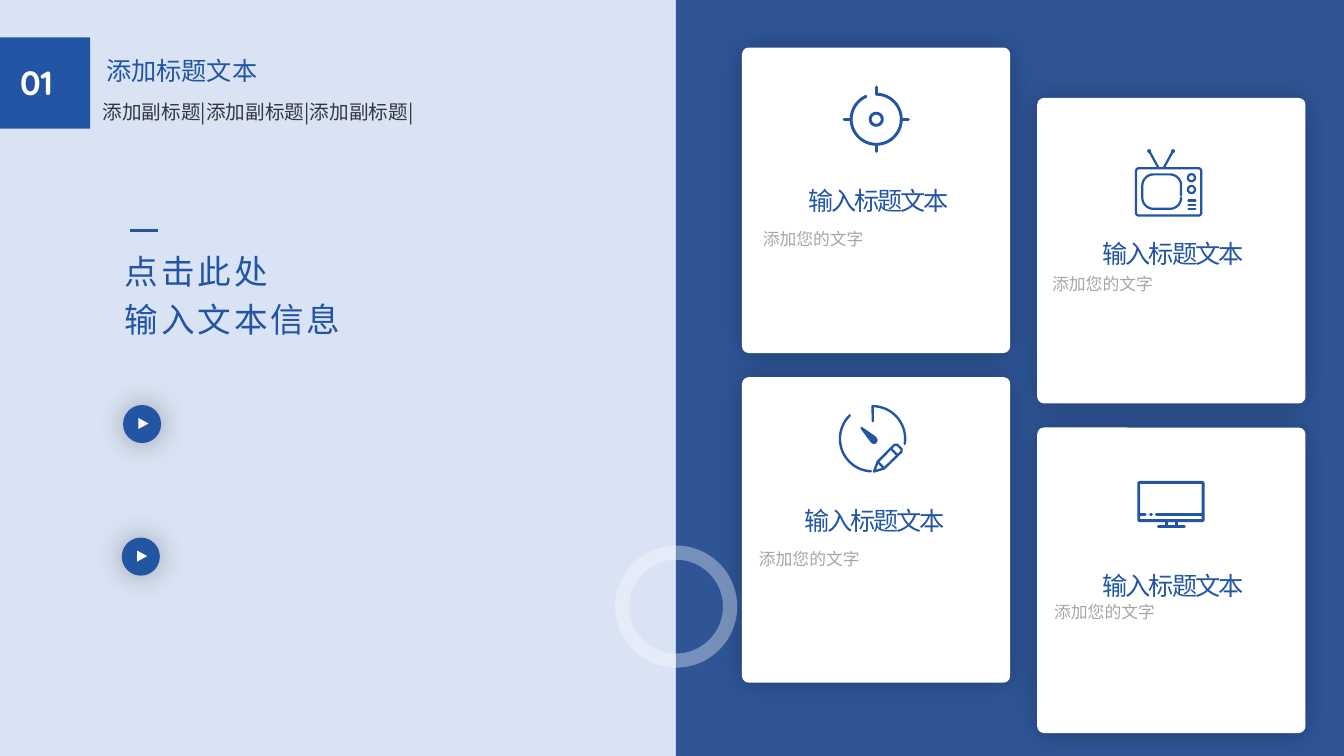
"""Builds a staggered four-card slide with line icons and a numbered heading."""
from math import cos, radians, sin

from lxml import etree
from pptx import Presentation
from pptx.dml.color import RGBColor
from pptx.enum.shapes import MSO_CONNECTOR, MSO_SHAPE
from pptx.enum.text import MSO_ANCHOR, MSO_AUTO_SIZE, PP_ALIGN
from pptx.oxml.ns import qn
from pptx.util import Pt

RECT, ROUND, OVAL = MSO_SHAPE.RECTANGLE, MSO_SHAPE.ROUNDED_RECTANGLE, MSO_SHAPE.OVAL
DONUT, TRIANGLE = MSO_SHAPE.DONUT, MSO_SHAPE.ISOSCELES_TRIANGLE
LEFT, JUSTIFY = PP_ALIGN.LEFT, PP_ALIGN.JUSTIFY
COLORS = {"pale": "DAE3F3", "panel": "2F5597", "blue": "2255A4", "white": "FFFFFF",
          "grey": "A6A6A6", "dark": "333740", "black": "000000"}
CJK = "Noto Sans CJK SC"

NUMBER = "01"
TITLE = "添加标题文本"
SUBTITLE = "添加副标题|添加副标题|添加副标题|"
LEAD = "点击此处\n输入文本信息"
CARD_TITLE, CARD_TEXT = "输入标题文本", "添加您的文字"
PLAY_BUTTONS = [(87.9, 289.3), (87, 384)]
CARDS = [
    {"column": 0, "row": 0, "icon": "target", "icon_at": (601.9, 61.2),
     "title_at": (570.2, 124.6), "text_at": (537.8, 155.5)},
    {"column": 1, "row": 0, "icon": "television", "icon_at": (810.7, 106.6),
     "title_at": (780.6, 162.7), "text_at": (744.5, 187.9)},
    {"column": 0, "row": 1, "icon": "dial", "icon_at": (599, 289.4),
     "title_at": (567.4, 352.8), "text_at": (535, 383.8)},
    {"column": 1, "row": 1, "icon": "monitor", "icon_at": (812.2, 343.4),
     "title_at": (780.6, 399.6), "text_at": (745.9, 421.9)},
]
CARD_LEFT, CARD_TOP, CARD_W, CARD_H = 530, 34, 191.6, 218.2
COLUMN_STEP, ROW_STEP, STAGGER = 210.9, 235.4, 36


def arc(x, y, radius, start=0, end=360):
    """Return points along a circular arc, clockwise from the right."""
    steps = max(4, round(abs(end - start) / 6))
    angles = [radians(start + (end - start) * i / steps) for i in range(steps + 1)]
    return [(x + radius * cos(a), y + radius * sin(a)) for a in angles]


def box(x0, y0, x1, y1, radius, start=None, end=None):
    """Return a rounded box drawn from start to end on its right side."""
    start = (y0 + y1) / 2 if start is None else start
    end = start if end is None else end
    a, b, c, d = x0 + radius, y0 + radius, x1 - radius, y1 - radius
    return ([(x1, start)] + arc(c, b, radius, 0, -90) + arc(a, b, radius, 270, 180)
            + arc(a, d, radius, 180, 90) + arc(c, d, radius, 90, 0) + [(x1, end)])


ICONS = {
    "target": (2.1, [
        arc(24, 24, 17.9, 270, 606), arc(24, 24, 4.3),
        [(24, 1), (24, 6)], [(24, 42), (24, 47)],
        [(1, 24), (6, 24)], [(42, 24), (47, 24)]]),
    "television": (1.6, [
        box(0.8, 13.6, 47.4, 47.4, 2), box(5.3, 18, 33, 42.6, 8, 33, 35.5),
        arc(40.4, 20.4, 2.5), arc(40.4, 28.8, 2.5),
        *[[(38.2, y), (43.2, y)] for y in (36.6, 39.8, 43)],
        [(10.2, 1.2), (16.6, 13)], [(27.2, 1.2), (20.8, 13)],
        arc(10.2, 1.4, 0.6), arc(27.2, 1.4, 0.6)]),
    "dial": (1.7, [
        [(24.5, 11.5)] + arc(24.3, 24, 23.3, 270, 369), arc(24.3, 24, 23.3, 93, 226),
        [(25.4, 47.4), (28, 40.4), (40, 28.3), (42, 28.3), (45, 31.3), (45, 33.2),
         (32.6, 45.2), (25.4, 47.4)],
        [(37.4, 31), (42, 35.8)], [(28, 40.4), (32.6, 45.2)]]),
    "monitor": (2.1, [
        box(1.2, 1.2, 47.2, 28.5, 0.8), [(1.2, 24), (5.8, 24)],
        [(9.6, 24), (10.2, 24)], [(13.8, 24), (47.2, 24)],
        [(20.7, 28.5), (20.7, 32.6)], [(28.1, 28.5), (28.1, 32.6)],
        [(15.2, 32.8), (33.8, 32.8)]]),
}
NEEDLE = [(15.7, 15.9), (16.6, 15.5), (26.8, 22.6), (28, 25), (27, 27.4),
          (24.6, 27.8), (23, 26.6), (15.7, 16.8)]


def rgb(name):
    return RGBColor.from_string(COLORS[name])


def add_shape(s, kind, x, y, w, h, color, adj=None, glow=None):
    sp = s.shapes.add_shape(kind, Pt(x), Pt(y), Pt(w), Pt(h))
    sp.shadow.inherit = False
    sp.fill.solid()
    sp.fill.fore_color.rgb = rgb(color)
    sp.line.fill.background()
    if adj is not None:
        sp.adjustments[0] = adj
    if glow:
        effects = sp._element.spPr.find(qn("a:effectLst"))
        shadow = etree.SubElement(effects, qn("a:outerShdw"), blurRad=str(Pt(20)), dist="0")
        shade = etree.SubElement(shadow, qn("a:srgbClr"), val=COLORS["black"])
        etree.SubElement(shade, qn("a:alpha"), val=str(glow * 1000))
    return sp


def format_text(sp, text, size, color, font=CJK, bold=False, spacing=None, spc=None, align=LEFT):
    tf = sp.text_frame
    tf.text = text
    tf.word_wrap = True
    tf.auto_size = MSO_AUTO_SIZE.NONE
    tf.vertical_anchor = MSO_ANCHOR.TOP
    for p in tf.paragraphs:
        p.alignment = align
        p.line_spacing = spacing
        for r in p.runs:
            r.font.name, r.font.size, r.font.bold = font, Pt(size), bold
            r.font.color.rgb = rgb(color)
            rPr = r.font._element
            rPr.find(qn("a:latin")).addnext(rPr.makeelement(qn("a:ea"), {"typeface": CJK}))
            if spc is not None:
                rPr.set("spc", str(round(spc * 100)))


def add_text(s, x, y, w, h, text, size, color, **style):
    sp = s.shapes.add_textbox(Pt(x), Pt(y), Pt(w), Pt(h))
    format_text(sp, text, size, color, **style)


def add_outline(s, at, contours, weight=None):
    """Draw contours as one stroked shape, or as a solid when no weight is given."""
    first = contours[0][0]
    builder = s.shapes.build_freeform(Pt(first[0]), Pt(first[1]), scale=1.0)
    for contour in contours:
        points = [(Pt(x), Pt(y)) for x, y in contour]
        if contour is not contours[0]:
            builder.move_to(*points[0])
        builder.add_line_segments(points[1:], close=weight is None)
    sp = builder.convert_to_shape(Pt(at[0]), Pt(at[1]))
    sp.shadow.inherit = False
    if weight is None:
        sp.fill.solid()
        sp.fill.fore_color.rgb = rgb("blue")
        sp.line.fill.background()
    else:
        sp.fill.background()
        sp.line.color.rgb = rgb("blue")
        sp.line.width = Pt(weight)
        sp.line._get_or_add_ln().set("cap", "rnd")


def add_card(s, card):
    weight, contours = ICONS[card["icon"]]
    add_outline(s, card["icon_at"], contours, weight)
    if card["icon"] == "dial":
        add_outline(s, card["icon_at"], [NEEDLE])
    add_text(s, *card["text_at"], 180.7, 24.5, CARD_TEXT, 12, "grey", font="Arial", spacing=1.3)
    add_text(s, *card["title_at"], 129.6, 33, CARD_TITLE, 18, "blue", spacing=1.2, spc=-1.5)


def main():
    prs = Presentation()
    prs.slide_width, prs.slide_height = Pt(960), Pt(540)
    s = prs.slides.add_slide(prs.slide_layouts[5])
    s.background.fill.solid()
    s.background.fill.fore_color.rgb = rgb("pale")

    add_shape(s, RECT, 482.8, 0, 477.2, 540, "panel")
    for card in CARDS:
        x = CARD_LEFT + card["column"] * COLUMN_STEP
        y = CARD_TOP + card["row"] * ROW_STEP + card["column"] * STAGGER
        add_shape(s, ROUND, x, y, CARD_W, CARD_H, "white", adj=0.025, glow=25)
    ring = add_shape(s, DONUT, 439.4, 389.7, 87.2, 87.2, "white", adj=0.116)
    tint = ring._element.spPr.find(qn("a:solidFill")).find(qn("a:srgbClr"))
    etree.SubElement(tint, qn("a:alpha"), val="35000")
    for card in CARDS:
        add_card(s, card)

    add_text(s, 82.1, 170, 226, 77, LEAD, 24, "blue", spacing=1.2, spc=2)
    dash = s.shapes.add_connector(MSO_CONNECTOR.STRAIGHT, Pt(92.9), Pt(164.9), Pt(113), Pt(164.9))
    dash.line.color.rgb = rgb("blue")
    dash.line.width = Pt(2.25)
    etree.SubElement(dash._element.spPr, qn("a:effectLst"))
    for x, y in PLAY_BUTTONS:
        add_shape(s, OVAL, x, y, 27.2, 27.2, "blue", glow=30)
        add_shape(s, TRIANGLE, x + 10.6, y + 9.6, 7.9, 7.2, "white").rotation = 90

    add_shape(s, RECT, 0, 26.7, 64.4, 65.3, "blue")
    add_text(s, 7.2, 41, 49.7, 36, NUMBER, 24, "white", font="Quicksand", bold=True)
    title = s.shapes.title
    title.left, title.top, title.width, title.height = Pt(68.6), Pt(36), Pt(184.3), Pt(29)
    format_text(title, TITLE, 18, "blue")
    add_text(s, 66.2, 67.7, 297.4, 24.5, SUBTITLE, 14, "dark", align=JUSTIFY)
    prs.save("out.pptx")


if __name__ == "__main__":
    main()
